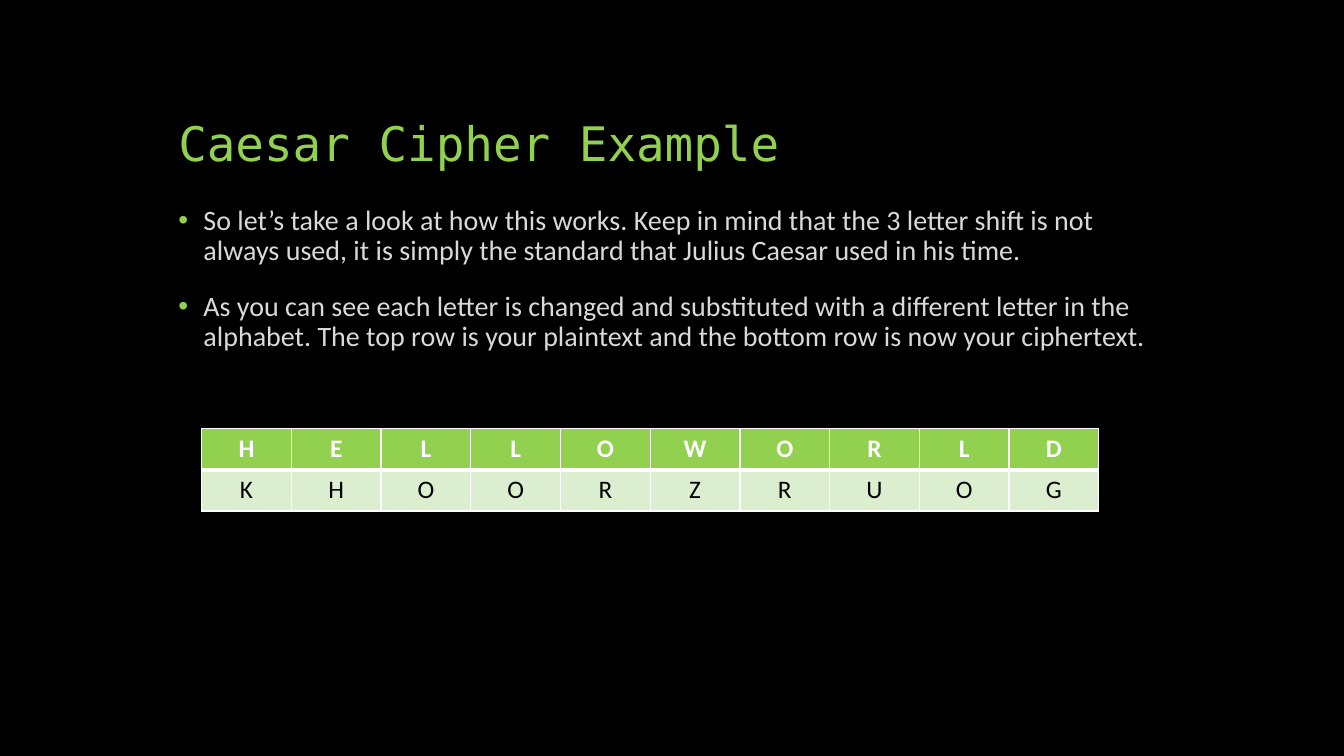
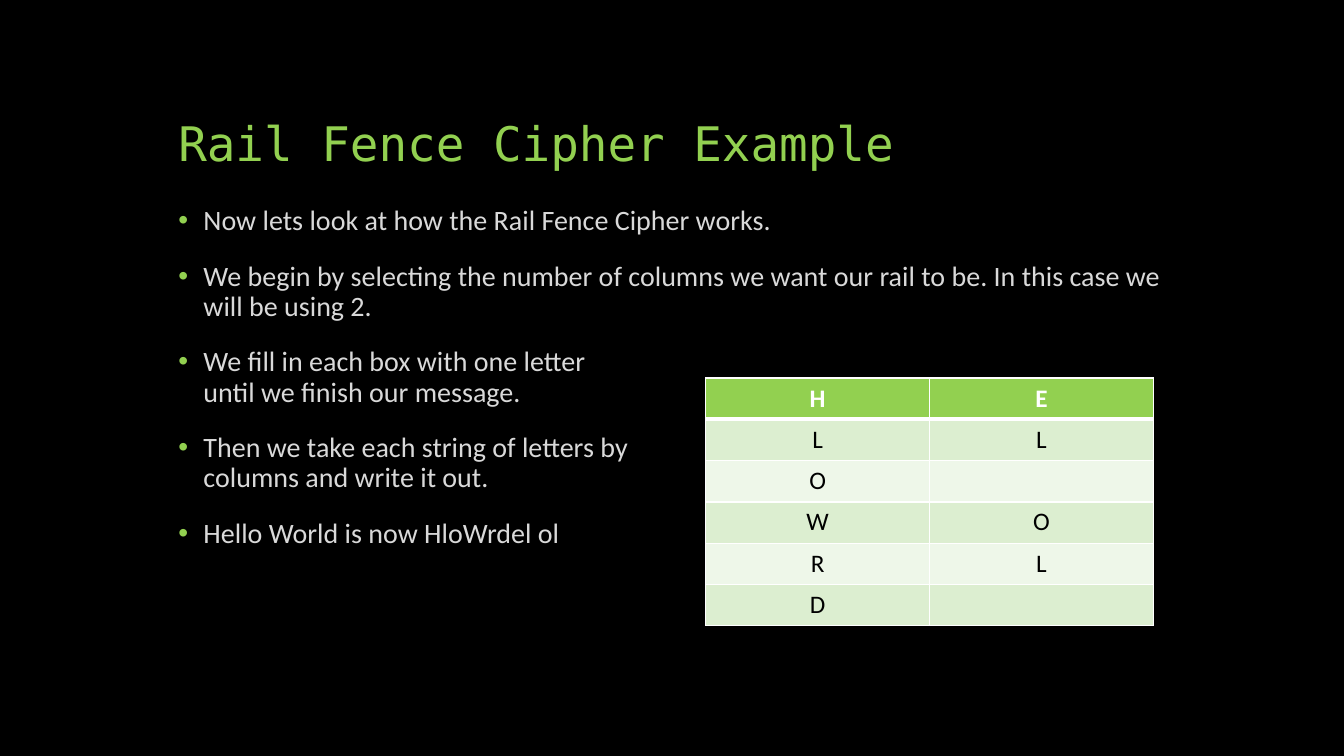
from pptx import Presentation
from pptx.dml.color import RGBColor
from pptx.enum.text import MSO_ANCHOR as Anchor, PP_ALIGN as Align
from pptx.oxml.ns import qn
from pptx.util import Inches, Pt
from lxml.etree import SubElement

# Shared style
BLACK = RGBColor(0x00, 0x00, 0x00)
WHITE = RGBColor(0xFF, 0xFF, 0xFF)
GREEN = RGBColor(0x92, 0xD0, 0x50)
GREY = RGBColor(0xD9, 0xD9, 0xD9)
BANDS = (RGBColor(0xDC, 0xEE, 0xD0), RGBColor(0xEE, 0xF7, 0xE9))
TITLE_FONT = "DejaVu Sans Mono"
BODY_FONT = "Calibri"
LEFT, WIDTH = 1.67, 10
ROW_HEIGHT = 0.41
THIN, THICK = 1, 3


def add_run(p, text, font, size, color, bold=False):
    r = p.add_run()
    r.text = text
    r.font.name = font
    r.font.size = Pt(size)
    r.font.bold = bold
    r.font.color.rgb = color


def add_text_frame(s, top, height, anchor):
    box = s.shapes.add_textbox(Inches(LEFT), Inches(top), Inches(WIDTH), Inches(height))
    tf = box.text_frame
    tf.word_wrap = True
    tf.vertical_anchor = anchor
    return tf


def add_slide(prs, title):
    s = prs.slides.add_slide(prs.slide_layouts[6])
    s.background.fill.solid()
    s.background.fill.fore_color.rgb = BLACK
    p = add_text_frame(s, 0.5, 1.25, Anchor.BOTTOM).paragraphs[0]
    p.line_spacing = 0.9
    add_run(p, title, TITLE_FONT, 34, GREEN)
    return s


def set_bullet(p):
    pPr = p._p.get_or_add_pPr()
    pPr.set("marL", str(Inches(0.25)))
    pPr.set("indent", str(-Inches(0.25)))
    color = SubElement(pPr, qn("a:buClr"))
    SubElement(color, qn("a:srgbClr")).set("val", str(GREEN))
    SubElement(pPr, qn("a:buFont")).set("typeface", "Arial")
    SubElement(pPr, qn("a:buChar")).set("char", "•")


def add_bullets(s, items):
    tf = add_text_frame(s, 2, 4.67, Anchor.TOP)
    for i, item in enumerate(items):
        p = tf.add_paragraph() if i else tf.paragraphs[0]
        p.line_spacing = 0.9
        p.space_before = Pt(18)
        set_bullet(p)
        for j, line in enumerate(item.split("\n")):
            if j:
                p.add_line_break()
            add_run(p, line, BODY_FONT, 20, GREY)


def set_borders(cell, top, bottom):
    tcPr = cell._tc.get_or_add_tcPr()
    for side, width in (("L", THIN), ("R", THIN), ("T", top), ("B", bottom)):
        ln = SubElement(tcPr, qn("a:ln" + side))
        ln.set("w", str(Pt(width)))
        fill = SubElement(ln, qn("a:solidFill"))
        SubElement(fill, qn("a:srgbClr")).set("val", str(WHITE))


def add_letter_table(s, left, top, col_width, rows):
    """Each row is a string with one letter per cell; a space is an empty cell."""
    n_rows, n_cols = len(rows), len(rows[0])
    table = s.shapes.add_table(
        n_rows, n_cols, Inches(left), Inches(top),
        Inches(col_width * n_cols), Inches(ROW_HEIGHT * n_rows)).table
    for col in table.columns:
        col.width = Inches(col_width)
    for i, letters in enumerate(rows):
        table.rows[i].height = Inches(ROW_HEIGHT)
        header = i == 0
        for j, letter in enumerate(letters):
            cell = table.cell(i, j)
            # The thick rule lies between the header and the first band
            set_borders(cell, THICK if i == 1 else THIN, THICK if header else THIN)
            cell.fill.solid()
            cell.fill.fore_color.rgb = GREEN if header else BANDS[(i - 1) % 2]
            p = cell.text_frame.paragraphs[0]
            p.alignment = Align.CENTER
            if letter.strip():
                add_run(p, letter, BODY_FONT, 18, WHITE if header else BLACK, header)


def main():
    prs = Presentation()
    prs.slide_width, prs.slide_height = Inches(13.33), Inches(7.5)

    # Caesar cipher
    s = add_slide(prs, "Caesar Cipher Example")
    add_bullets(s, [
        "So let’s take a look at how this works. Keep in mind that the 3 letter shift "
        "is not always used, it is simply the standard that Julius Caesar used in his time.",
        "As you can see each letter is changed and substituted with a different letter in "
        "the alphabet. The top row is your plaintext and the bottom row is now your ciphertext.",
    ])
    add_letter_table(s, 2, 4.25, 0.89, ["HELLOWORLD", "KHOORZRUOG"])

    # Rail fence cipher
    s = add_slide(prs, "Rail Fence Cipher Example")
    add_bullets(s, [
        "Now lets look at how the Rail Fence Cipher works.",
        "We begin by selecting the number of columns we want our rail to be. "
        "In this case we will be using 2.",
        "We fill in each box with one letter\nuntil we finish our message.",
        "Then we take each string of letters by\ncolumns and write it out.",
        "Hello World is now HloWrdel ol",
    ])
    add_letter_table(s, 7, 3.75, 2.22, ["HE", "LL", "O ", "WO", "RL", "D "])

    prs.save("out.pptx")


main()
